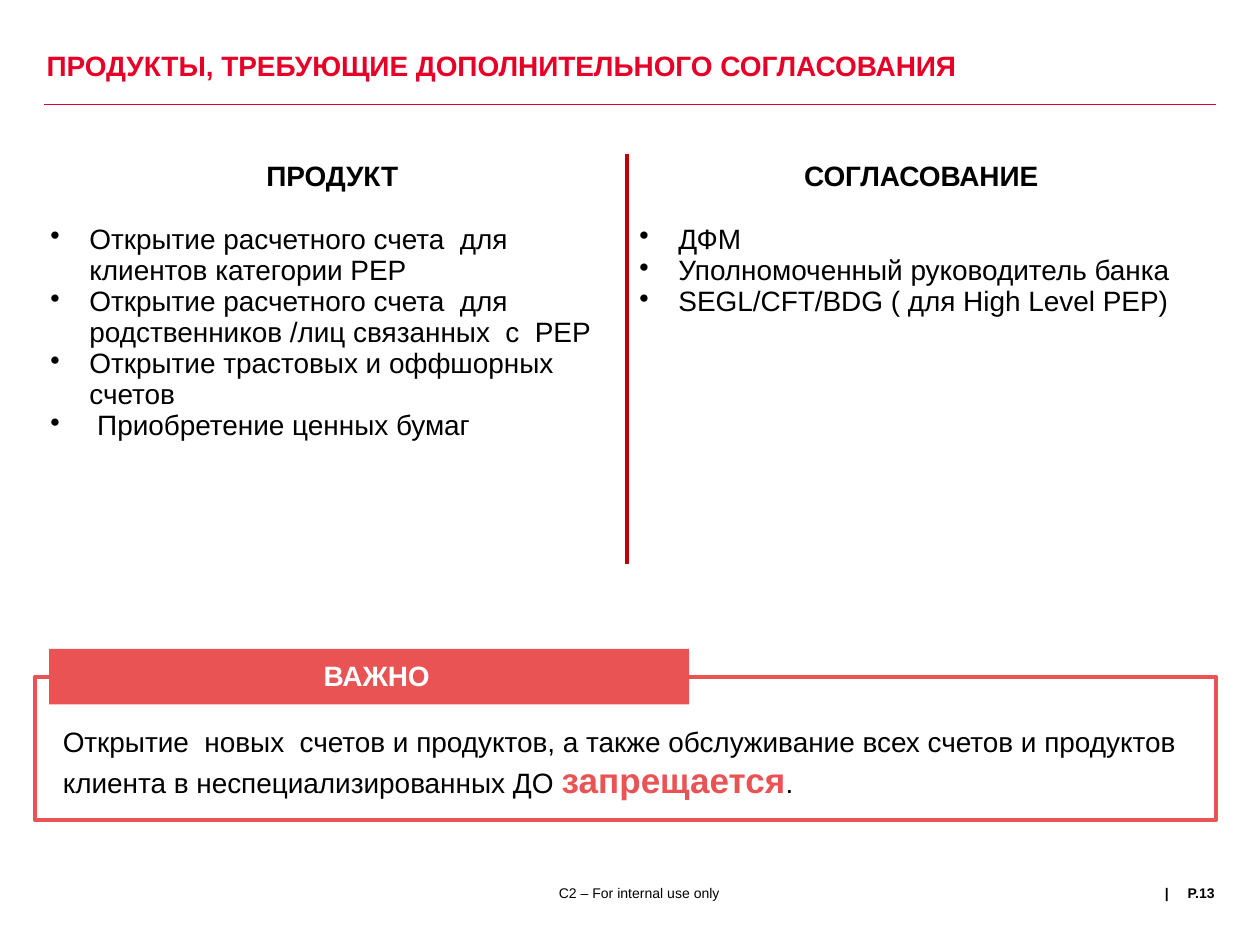
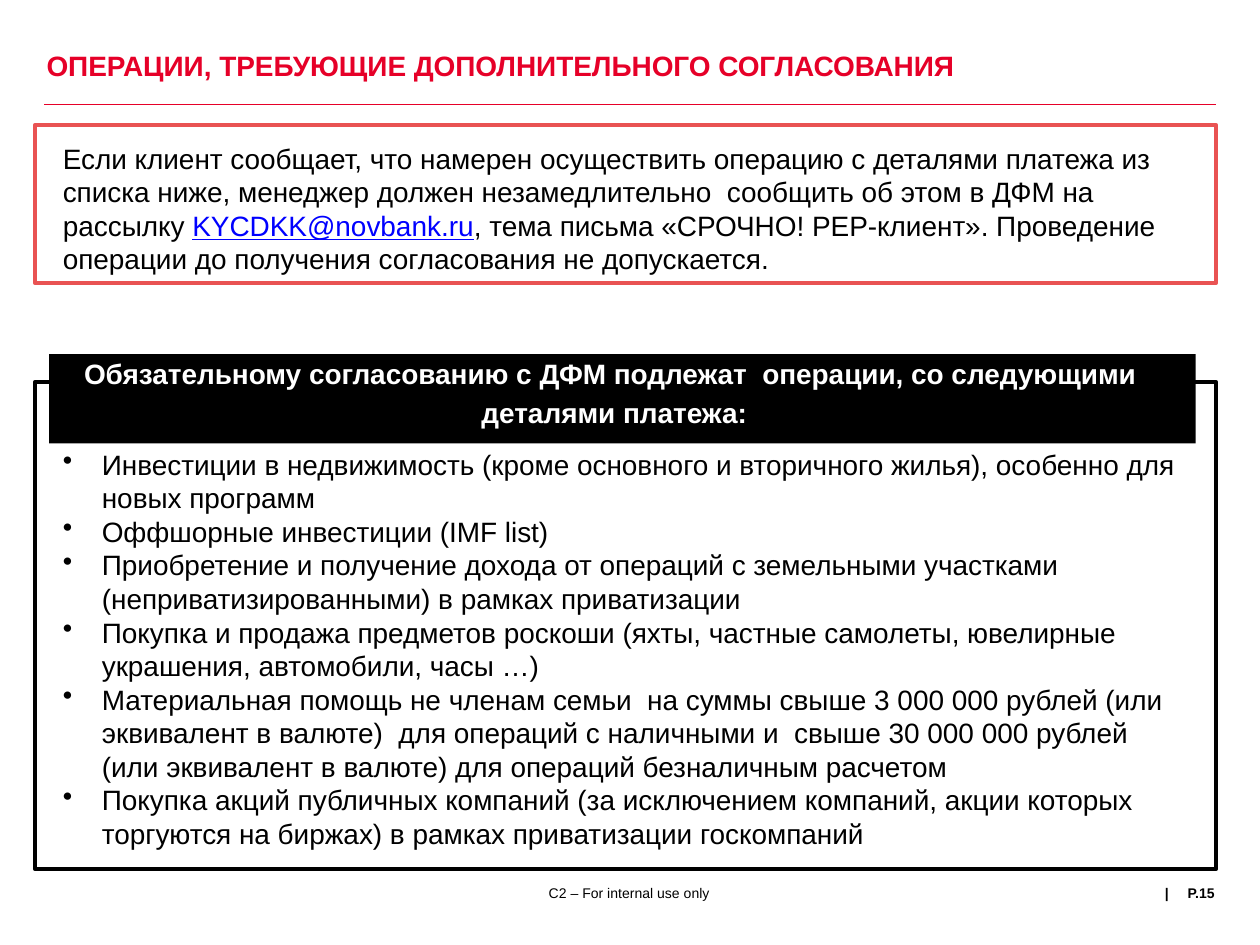
import lxml.etree
import pptx
import pptx.dml.color
import pptx.enum.shapes
import pptx.enum.text
import pptx.oxml.ns
import pptx.util

RGBColor = pptx.dml.color.RGBColor
ALIGN = pptx.enum.text.PP_ALIGN
ANCHOR = pptx.enum.text.MSO_ANCHOR

TITLE_RED = RGBColor(0xE6, 0x00, 0x28)
CORAL = RGBColor(0xE9, 0x53, 0x53)
DARK_RED = RGBColor(0xC0, 0x00, 0x00)
LINK_BLUE = RGBColor(0x00, 0x00, 0xFF)
BLACK = RGBColor(0x00, 0x00, 0x00)
WHITE = RGBColor(0xFF, 0xFF, 0xFF)

FONT = "Arial"
COLUMNS, ROWS = 100, 75
CELL = pptx.util.Inches(0.1)
PADDING = (1, 0.5)
INDENT = 3.1
FRAME_LEFT, FRAME_WIDTH = 2.8, 93.7
BANNER_LEFT = 3.9
BODY_LEFT, BODY_WIDTH = 4, 90.9
FOOTER_TOP, FOOTER_HEIGHT = 70.2, 4.8

PRODUCTS = [
    "Открытие расчетного счета  для клиентов категории РЕР",
    "Открытие расчетного счета  для родственников /лиц связанных  с  РЕР",
    "Открытие трастовых и оффшорных счетов",
    " Приобретение ценных бумаг",
]
APPROVERS = [
    "ДФМ",
    "Уполномоченный руководитель банка",
    "SEGL/CFT/BDG ( для High Level PEP)",
]
OPERATIONS = [
    "Инвестиции в недвижимость (кроме основного и вторичного жилья), особенно для новых программ",
    "Оффшорные инвестиции (IMF list)",
    "Приобретение и получение дохода от операций с земельными участками "
    "(неприватизированными) в рамках приватизации",
    "Покупка и продажа предметов роскоши (яхты, частные самолеты, ювелирные украшения, "
    "автомобили, часы …)",
    "Материальная помощь не членам семьи  на суммы свыше 3 000 000 рублей (или эквивалент в валюте)  "
    "для операций с наличными и  свыше 30 000 000 рублей (или эквивалент в валюте) "
    "для операций безналичным расчетом",
    "Покупка акций публичных компаний (за исключением компаний, акции которых торгуются на биржах) "
    "в рамках приватизации госкомпаний",
]


def grid(*cells):
    """Turn counts of grid cells into lengths."""
    return [pptx.util.Emu(round(count * CELL)) for count in cells]


def add_span(para, text, size=16, color=BLACK, bold=False, underline=False):
    """Append formatted text to a paragraph."""
    span = para.add_run()
    span.text = text
    font = span.font
    font.name, font.size, font.bold = FONT, pptx.util.Pt(size), bold
    font.underline = underline
    font.color.rgb = color


def make_bullet(para):
    """Give a paragraph a round bullet and a hanging indent."""
    (indent,) = grid(INDENT)
    properties = para._p.get_or_add_pPr()
    properties.set("marL", str(indent))
    properties.set("indent", str(-indent))
    bullet = lxml.etree.SubElement(properties, pptx.oxml.ns.qn("a:buChar"))
    bullet.set("char", "•")


def write_paragraphs(frame, paragraphs, align=ALIGN.LEFT, bullets=False, before=0, spacing=None, **style):
    """Fill an empty text frame; a paragraph is text or a list of (text, style) spans."""
    for index, content in enumerate(paragraphs):
        para = frame.paragraphs[0] if index == 0 else frame.add_paragraph()
        para.alignment = align
        para.space_before = pptx.util.Pt(before)
        if spacing:
            para.line_spacing = spacing
        if bullets:
            make_bullet(para)
        spans = [(content, {})] if isinstance(content, str) else content
        for text, changes in spans:
            add_span(para, text, **{**style, **changes})


def add_text(page, place, *paragraphs, padding=(0, 0), anchor=ANCHOR.TOP, wrap=True, **style):
    """Add a text box at a place on the grid."""
    frame = page.shapes.add_textbox(*grid(*place)).text_frame
    frame.word_wrap = wrap
    frame.vertical_anchor = anchor
    frame.margin_left = frame.margin_right = grid(padding[0])[0]
    frame.margin_top = frame.margin_bottom = grid(padding[1])[0]
    write_paragraphs(frame, paragraphs, **style)


def add_box(page, place, fill=None, line=None):
    """Add a plain rectangle, filled or outlined."""
    box = page.shapes.add_shape(pptx.enum.shapes.MSO_SHAPE.RECTANGLE, *grid(*place))
    box.shadow.inherit = False
    if fill is None:
        box.fill.background()
    else:
        box.fill.solid()
        box.fill.fore_color.rgb = fill
    if line is None:
        box.line.fill.background()
    else:
        box.line.color.rgb = line
        box.line.width = pptx.util.Pt(2.25)


def add_frame(page, top, height, color):
    """Add a full-width outlined frame."""
    add_box(page, (FRAME_LEFT, top, FRAME_WIDTH, height), line=color)


def add_body(page, top, height, *paragraphs, **style):
    """Add body text inside a frame."""
    add_text(page, (BODY_LEFT, top, BODY_WIDTH, height), *paragraphs, padding=PADDING, **style)


def add_banner_text(page, place, *paragraphs):
    """Add the white bold heading of a banner."""
    add_text(page, place, *paragraphs, align=ALIGN.CENTER, before=3.2, color=WHITE, bold=True)


def add_rule(page):
    """Add the thin line under the title."""
    rule = page.shapes.add_connector(
        pptx.enum.shapes.MSO_CONNECTOR.STRAIGHT, *grid(96.5, 8.3, 3.5, 8.3))
    rule.line.color.rgb = TITLE_RED
    rule.line.width = pptx.util.Pt(0.5)
    lxml.etree.SubElement(rule._element.spPr, pptx.oxml.ns.qn("a:effectLst"))


def add_page(deck, title, number, footer_left):
    """Add a page with the shared title, rule and footer."""
    page = deck.slides.add_slide(deck.slide_layouts[6])
    add_rule(page)
    add_text(page, (3.7, 2.8, 85.6, 5.5), title, anchor=ANCHOR.MIDDLE,
             spacing=0.7, color=TITLE_RED, bold=True)
    footer = {"size": 8}
    add_text(page, (92.2, FOOTER_TOP, 0.8, FOOTER_HEIGHT), "|",
             wrap=False, align=ALIGN.CENTER, bold=True, **footer)
    add_text(page, (92.5, FOOTER_TOP, 3.9, FOOTER_HEIGHT), f"P.{number}",
             align=ALIGN.RIGHT, bold=True, **footer)
    add_text(page, (footer_left, FOOTER_TOP, 39.3, FOOTER_HEIGHT), "C2 – For internal use only",
             align=ALIGN.CENTER, **footer)
    return page


def set_borders(cell, **borders):
    """Draw cell borders given as side=(colour, points), in the order L, R, T, B."""
    properties = cell._tc.get_or_add_tcPr()
    for side, (color, points) in borders.items():
        line = lxml.etree.SubElement(properties, pptx.oxml.ns.qn(f"a:ln{side}"))
        line.set("w", str(pptx.util.Pt(points)))
        fill = lxml.etree.SubElement(line, pptx.oxml.ns.qn("a:solidFill"))
        lxml.etree.SubElement(fill, pptx.oxml.ns.qn("a:srgbClr")).set("val", str(color))


def add_approval_table(page, columns):
    """Add a one-row table of headed bullet lists split by a red line."""
    table = page.shapes.add_table(1, len(columns), *grid(3, 12.3, 93.5, 32.3)).table
    table.first_row = table.horz_banding = False
    edge, divider = (WHITE, 1), (DARK_RED, 2.25)
    for index, (heading, items) in enumerate(columns):
        cell = table.cell(0, index)
        set_borders(cell, L=divider if index else edge,
                    R=edge if index == len(columns) - 1 else divider,
                    T=edge, B=(WHITE, 3))
        cell.fill.background()
        frame = cell.text_frame
        write_paragraphs(frame, [heading], align=ALIGN.CENTER, bold=True)
        frame.paragraphs[0].space_after = pptx.util.Pt(18)
        for item in items:
            para = frame.add_paragraph()
            make_bullet(para)
            add_span(para, item)


def build_products(deck):
    """Build the page on products that need approval."""
    page = add_page(deck, "ПРОДУКТЫ, ТРЕБУЮЩИЕ ДОПОЛНИТЕЛЬНОГО СОГЛАСОВАНИЯ", 13, 31.1)
    add_frame(page, 53.7, 11.4, CORAL)
    add_box(page, (BANNER_LEFT, 51.5, 50.8, 4.4), fill=CORAL)
    add_banner_text(page, (5.1, 52.3, 49.6, 3.7), "ВАЖНО")
    add_body(page, 57, 7.1, [
        ("Открытие  новых  счетов и продуктов, а также обслуживание всех счетов "
         "и продуктов клиента в неспециализированных ДО ", {}),
        ("запрещается", {"size": 20, "color": CORAL, "bold": True}),
        (".", {}),
    ])
    add_approval_table(page, [("ПРОДУКТ", PRODUCTS), ("СОГЛАСОВАНИЕ", APPROVERS)])


def build_operations(deck):
    """Build the page on operations that need approval."""
    page = add_page(deck, "ОПЕРАЦИИ, ТРЕБУЮЩИЕ ДОПОЛНИТЕЛЬНОГО СОГЛАСОВАНИЯ", 15, 30.3)
    add_frame(page, 9.9, 12.6, CORAL)
    add_body(page, 10.7, 11.8, [
        ("Если клиент сообщает, что намерен осуществить операцию с деталями платежа из списка ниже, "
         "менеджер должен незамедлительно  сообщить об этом в ДФМ на рассылку ", {}),
        ("KYCDKK@novbank.ru", {"color": LINK_BLUE, "underline": True}),
        (", тема письма «СРОЧНО! PEP-клиент». Проведение операции до получения согласования "
         "не допускается.", {}),
    ])
    add_frame(page, 30.3, 38.7, BLACK)
    add_box(page, (BANNER_LEFT, 28.1, 91, 7.1), fill=BLACK)
    add_banner_text(page, (2, 28.3, 92.9, 4.4),
                    "Обязательному согласованию с ДФМ подлежат  операции, со следующими",
                    " деталями платежа:")
    add_body(page, 35, 38.7, *OPERATIONS, bullets=True)


def main():
    """Build and save the deck."""
    deck = pptx.Presentation()
    deck.slide_width, deck.slide_height = grid(COLUMNS, ROWS)
    build_products(deck)
    build_operations(deck)
    deck.save("out.pptx")


if __name__ == "__main__":
    main()
